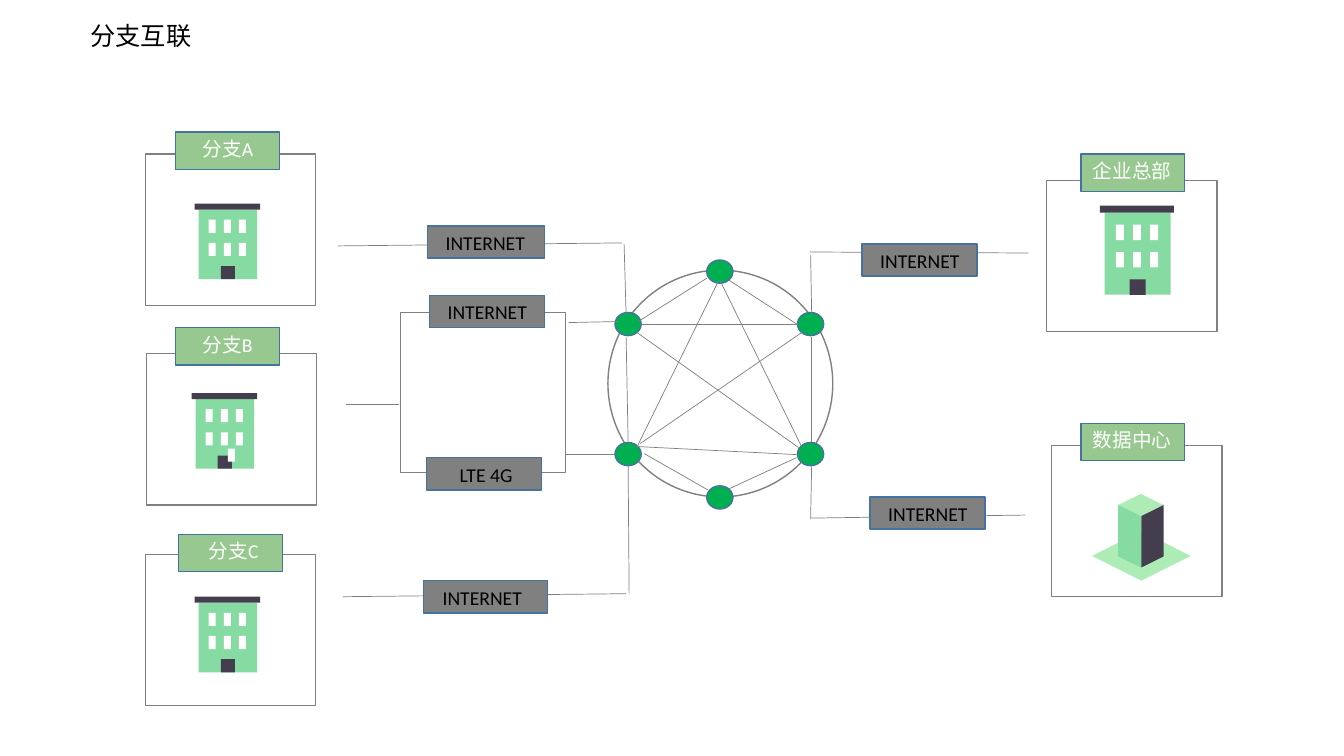
from dataclasses import dataclass
from itertools import product

from lxml.etree import SubElement
from pptx import Presentation
from pptx.dml.color import RGBColor
from pptx.enum.shapes import MSO_CONNECTOR, MSO_SHAPE
from pptx.enum.text import MSO_ANCHOR
from pptx.oxml.ns import qn
from pptx.util import Inches, Pt


@dataclass(frozen=True)
class Theme:
    font: str = "Calibri"
    title: int = 18
    label: int = 14
    thin: float = 0.5
    edge: float = 1
    grey: str = "808080"
    blue: str = "43739E"
    node: str = "00B050"
    tag: str = "97C890"
    wall: str = "86DBA2"
    dark: str = "443D4E"
    light: str = "ADECB5"
    white: str = "FFFFFF"
    black: str = "000000"


@dataclass(frozen=True)
class Label:
    text: str
    left: float
    top: float
    width: float
    inset: float


@dataclass(frozen=True)
class Link:
    x1: float
    y1: float
    x2: float
    y2: float


@dataclass(frozen=True)
class House:
    left: float
    top: float
    wide: float = 1
    high: float = 1


THEME = Theme()
RECT = MSO_SHAPE.RECTANGLE
OVAL = MSO_SHAPE.OVAL

FRAMES = [(10.38, 1.79), (10.43, 4.42), (1.44, 1.53), (1.45, 3.51), (1.44, 5.5)]
HOUSES = [House(10.91, 2.04, 1.13, 1.18), House(1.93, 2.02),
          House(1.9, 3.9), House(1.93, 5.92)]
NODES = [*product((6.1, 7.91), (3.1, 4.39)), (7.01, 2.58), (7.01, 4.82)]

MESH = [
    Link(7.01, 2.76, 6.33, 3.19), Link(6.21, 3.34, 6.23, 4.39),
    Link(7.02, 4.86, 6.39, 4.5), Link(7.23, 2.78, 7.91, 3.22),
    Link(8.05, 3.34, 8.05, 4.39), Link(7.9, 4.54, 7.23, 4.85),
    Link(7.14, 2.78, 7.95, 4.43), Link(7.12, 2.8, 6.32, 4.43),
    Link(7.9, 4.51, 6.32, 4.43), Link(7.95, 3.3, 6.35, 4.4),
    Link(6.32, 3.3, 7.92, 4.44), Link(6.36, 3.22, 7.91, 3.22),
]
ACCESS = [
    Link(6.17, 2.41, 3.35, 2.44), Link(6.19, 2.42, 6.21, 3.12),
    Link(3.96, 4.01, 3.43, 4.01), Link(6.13, 3.19, 5.64, 3.2),
    Link(6.1, 4.51, 5.61, 4.51), Link(6.21, 5.89, 3.4, 5.92),
    Link(6.23, 4.62, 6.24, 5.89), Link(8.05, 4.62, 8.04, 5.15),
    Link(10.17, 5.11, 8.04, 5.14), Link(10.2, 2.51, 8.03, 2.5),
    Link(8.04, 2.53, 8.05, 3.1),
]
LINES = [
    Label("INTERNET", 4.24, 2.24, 1.16, 0.18),
    Label("INTERNET", 4.26, 2.93, 1.14, 0.18),
    Label("INTERNET", 8.63, 4.93, 1.14, 0.18),
    Label("INTERNET", 8.55, 2.42, 1.14, 0.18),
    Label("INTERNET", 4.2, 5.76, 1.23, 0.19),
    Label("LTE 4G", 4.23, 4.54, 1.14, 0.33),
]
SITES = [
    Label("分支A", 1.74, 1.31, 1.03, 0.27),
    Label("分支B", 1.74, 3.25, 1.03, 0.27),
    Label("分支C", 1.77, 5.3, 1.03, 0.3),
    Label("企业总部", 10.72, 1.53, 1.03, 0.12),
    Label("数据中心", 10.72, 4.2, 1.03, 0.12),
]


def paint(shape, fill: str | None, line: str | None) -> None:
    shape.shadow.inherit = False
    if fill:
        shape.fill.solid()
        shape.fill.fore_color.rgb = RGBColor.from_string(fill)
    else:
        shape.fill.background()
    if line:
        shape.line.color.rgb = RGBColor.from_string(line)
        shape.line.width = Pt(THEME.edge)
    else:
        shape.line.fill.background()


def block(shapes, kind, left: float, top: float, width: float, height: float,
          fill: str | None = None, line: str | None = None):
    shape = shapes.add_shape(kind, Inches(left), Inches(top),
                             Inches(width), Inches(height))
    paint(shape, fill, line)
    return shape


def write(shape, text: str, size: int, color: str, inset: float) -> None:
    frame = shape.text_frame
    frame.word_wrap = True
    frame.vertical_anchor = MSO_ANCHOR.TOP
    frame.margin_left, frame.margin_right = Inches(inset), 0
    frame.margin_top = frame.margin_bottom = Inches(0.05)
    first = frame.paragraphs[0]
    first.alignment = 1  # left
    run = first.add_run()
    run.text = text
    run.font.name = THEME.font
    run.font.size = Pt(size)
    run.font.color.rgb = RGBColor.from_string(color)


def badge(shapes, item: Label, height: float, fill: str, color: str) -> None:
    shape = block(shapes, RECT, item.left, item.top, item.width, height,
                  fill, THEME.blue)
    write(shape, item.text, THEME.label, color, item.inset)


def join(shapes, link: Link) -> None:
    line = shapes.add_connector(MSO_CONNECTOR.STRAIGHT, Inches(link.x1),
                                Inches(link.y1), Inches(link.x2), Inches(link.y2))
    line.line.color.rgb = RGBColor.from_string(THEME.grey)
    line.line.width = Pt(THEME.thin)
    SubElement(line._element.spPr, qn("a:effectLst"))


def house(shapes, item: House) -> None:
    parts = shapes.add_group_shape().shapes
    panes = [(x, y, 0.07, 0.13, THEME.white)
             for x, y in product((0.14, 0.29, 0.44), (0.16, 0.39))]
    for x, y, width, height, fill in [
        (0.04, 0.06, 0.58, 0.69, THEME.wall),
        *panes,
        (0.26, 0.62, 0.14, 0.13, THEME.dark),
        (0, 0, 0.65, 0.06, THEME.dark),
    ]:
        block(parts, RECT, item.left + x * item.wide, item.top + y * item.high,
              width * item.wide, height * item.high, fill)


def tower(shapes) -> None:
    parts = shapes.add_group_shape().shapes
    block(parts, MSO_SHAPE.DIAMOND, 10.83, 5.27, 0.98, 0.49, THEME.light)
    block(parts, MSO_SHAPE.DIAMOND, 11.09, 4.9, 0.45, 0.22, THEME.light)
    for side, fill in ((11.09, THEME.wall), (11.54, THEME.dark)):
        path = parts.build_freeform(Inches(side), Inches(5.01))
        path.add_line_segments([(Inches(x), Inches(y)) for x, y in (
            (11.32, 5.12), (11.32, 5.63), (side, 5.52))])
        paint(path.convert_to_shape(), fill, None)


def main() -> None:
    deck = Presentation()
    deck.slide_width, deck.slide_height = Inches(13.33), Inches(7.5)
    shapes = deck.slides.add_slide(deck.slide_layouts[6]).shapes

    # Title
    title = shapes.add_textbox(Inches(0.8), Inches(0.15), Inches(4.03), Inches(0.4))
    write(title, "分支互联", THEME.title, THEME.black, 0.1)

    # Dual uplink loop and core ring
    block(shapes, RECT, 3.97, 3.1, 1.64, 1.59, line=THEME.grey)
    block(shapes, OVAL, 6.03, 2.68, 2.23, 2.25, line=THEME.grey)
    for left, top in NODES:
        block(shapes, OVAL, left, top, 0.26, 0.23, THEME.node, THEME.blue)

    # Mesh and access lines
    for link in MESH + ACCESS:
        join(shapes, link)

    # Site frames and buildings
    for left, top in FRAMES:
        block(shapes, RECT, left, top, 1.69, 1.5, line=THEME.grey)
    for item in HOUSES:
        house(shapes, item)
    block(shapes, RECT, 2.26, 4.45, 0.07, 0.13, THEME.white)
    tower(shapes)

    # Line and site labels
    for item in LINES:
        badge(shapes, item, 0.32, THEME.grey, THEME.black)
    for item in SITES:
        badge(shapes, item, 0.37, THEME.tag, THEME.white)

    deck.save("out.pptx")


if __name__ == "__main__":
    main()
